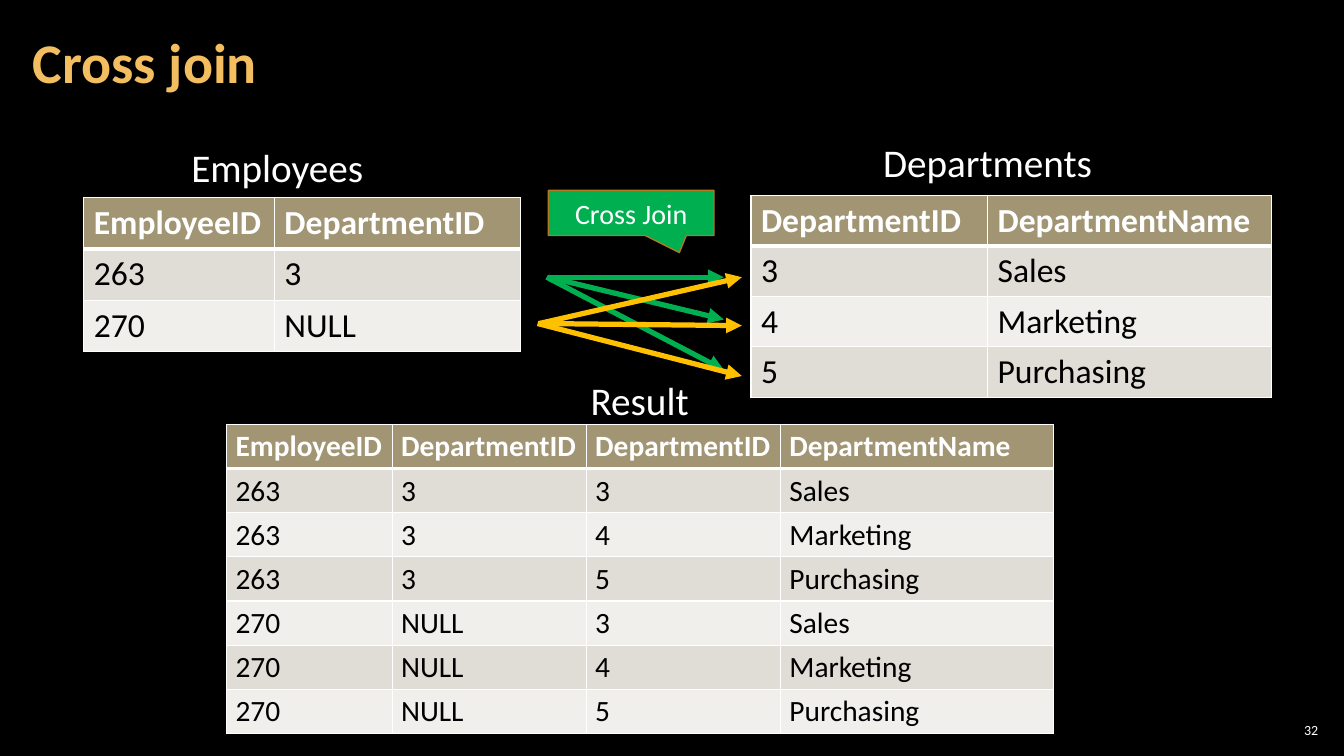
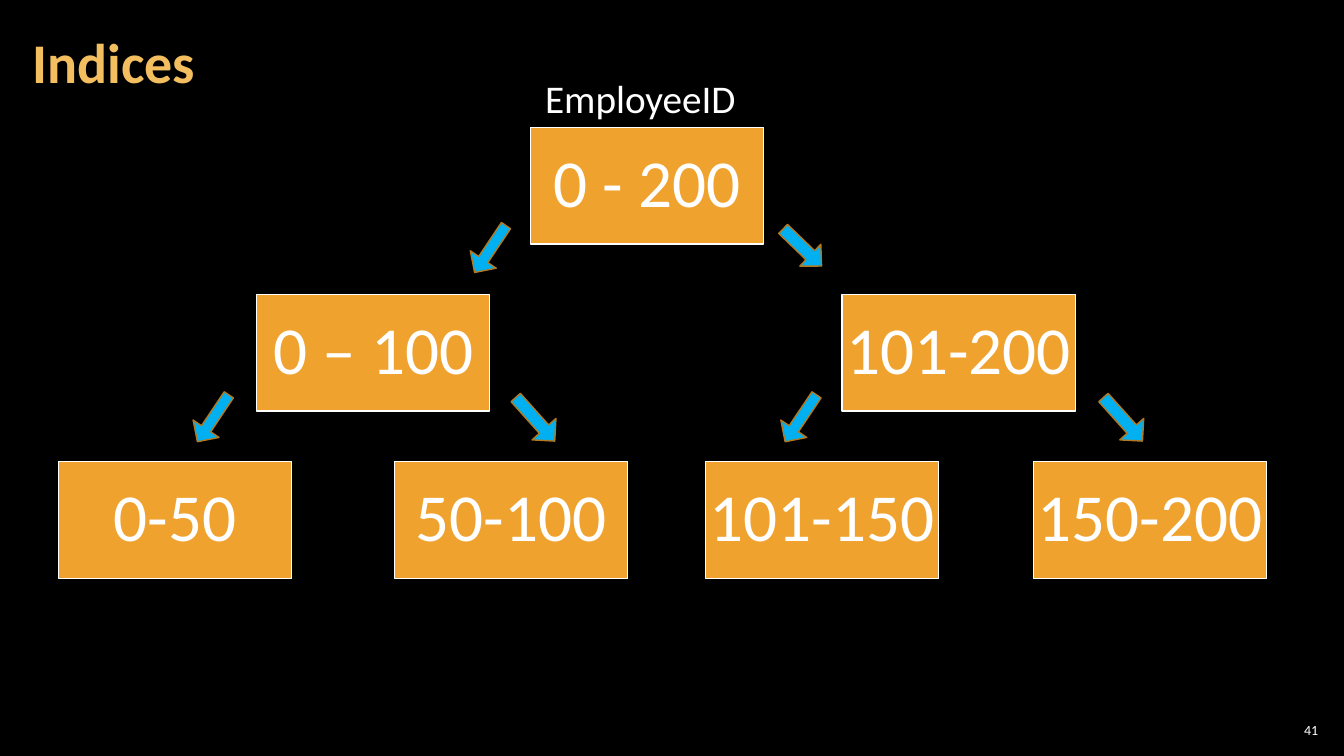
from typing import NamedTuple

from lxml.etree import SubElement
from pptx import Presentation
from pptx.dml.color import RGBColor
from pptx.enum.shapes import MSO_CONNECTOR, MSO_SHAPE
from pptx.enum.text import MSO_ANCHOR, MSO_AUTO_SIZE, PP_ALIGN
from pptx.oxml import parse_xml
from pptx.oxml.ns import nsdecls, qn
from pptx.util import Pt

FONT = "Calibri"
BLACK, WHITE = "000000", "FFFFFF"
GOLD, ORANGE, BROWN = "F3BE60", "F0A22E", "B27822"
GREEN, AMBER, BLUE = "00B050", "FFC000", "00B0F0"
HEAD, BANDS = "A19574", ("E0DDD6", "F0EFEB")
THIN, THICK = 1, 3


class Box(NamedTuple):
    x: float
    y: float
    w: float
    h: float


class Label(NamedTuple):
    text: str
    box: Box
    wrap: bool = False


class Grid(NamedTuple):
    x: float
    y: float
    cols: tuple
    row: float
    size: float
    pad: tuple
    data: list


class Ray(NamedTuple):
    start: tuple
    end: tuple
    tint: str


class Node(NamedTuple):
    text: str
    x: float
    level: int


class Style(NamedTuple):
    w: float
    h: float
    turn: float
    adjust: tuple


class Arrow(NamedTuple):
    x: float
    y: float
    style: Style


EMPLOYEES = [("263", "3"), ("270", "NULL")]
UNITS = [("3", "Sales"), ("4", "Marketing"), ("5", "Purchasing")]
LEFT_HEAD = ("EmployeeID", "DepartmentID")
RIGHT_HEAD = ("DepartmentID", "DepartmentName")
CROSS = [left + right for left in EMPLOYEES for right in UNITS]

GRIDS = [
    Grid(59.8, 141.2, (136.2, 175.8), 36.6, 24, (7.2, 3.6),
         [LEFT_HEAD, *EMPLOYEES]),
    Grid(536.4, 139.6, (169, 203), 36, 24, (7.2, 3.6),
         [RIGHT_HEAD, *UNITS]),
    Grid(162, 303.2, (118.2, 138.7, 138.7, 195), 31.35, 21, (6.3, 3.15),
         [LEFT_HEAD + RIGHT_HEAD, *CROSS]),
]
LABELS = [
    Label("Employees", Box(129.6, 98.8, 138, 41)),
    Label("Departments", Box(623.7, 95, 165.6, 41)),
    Label("Result", Box(414.8, 265.2, 85.7, 41)),
]
RAYS = [
    Ray((391.7, 198), (517, 198), GREEN),
    Ray((391.7, 198), (517, 228.2), GREEN),
    Ray((390.5, 198), (517, 264.2), GREEN),
    Ray((385.2, 231.1), (529.9, 198), AMBER),
    Ray((385.2, 231.1), (529.9, 232.6), AMBER),
    Ray((384, 231.1), (529.9, 268.6), AMBER),
]

NODE_W, NODE_H, NODE_TOP, NODE_STEP = 166.6, 83.3, 91, 119.4
NODES = [
    Node("0 - 200", 379, 0),
    Node("0 – 100", 183.3, 1),
    Node("101-200", 601.5, 1),
    Node("0-50", 41.7, 2),
    Node("50-100", 281.8, 2),
    Node("101-150", 503.8, 2),
    Node("150-200", 738.1, 2),
]
DOWN_LEFT = Style(22.3, 40.3, 213.8, (0.354, 0.5))
DOWN_RIGHT = Style(23, 41.8, 138.1, (0.39, 0.5))
TOP_RIGHT = Style(21.6, 38.2, 133.9, (0.417, 0.519))
ARROWS = [
    Arrow(339.1, 157.7, DOWN_LEFT),
    Arrow(562.3, 157.7, TOP_RIGHT),
    Arrow(141.1, 278.6, DOWN_LEFT),
    Arrow(370.8, 278.6, DOWN_RIGHT),
    Arrow(560.9, 278.6, DOWN_LEFT),
    Arrow(790.6, 278.6, DOWN_RIGHT),
]


def hue(code: str) -> RGBColor:
    return RGBColor.from_string(code)


def paint(item, code: str) -> None:
    """Give a shape, cell or background a solid fill."""
    item.fill.solid()
    item.fill.fore_color.rgb = hue(code)


def write(frame, text: str, *, size: float, tint: str = WHITE,
          bold: bool = False, align=PP_ALIGN.LEFT, lead=None) -> None:
    para = frame.paragraphs[0]
    para.alignment = align
    if lead:
        para.line_spacing = lead
    run = para.add_run()
    run.text = text
    font = run.font
    font.name, font.size, font.bold = FONT, Pt(size), bold
    font.color.rgb = hue(tint)


def inset(frame, side: float, top: float) -> None:
    frame.margin_left = frame.margin_right = Pt(side)
    frame.margin_top = frame.margin_bottom = Pt(top)


def add_text(slide, box: Box, text: str, *, pad=(7.2, 3.6), wrap=True,
             anchor=MSO_ANCHOR.MIDDLE, **look):
    frame = slide.shapes.add_textbox(*map(Pt, box)).text_frame
    frame.word_wrap = wrap
    frame.vertical_anchor = anchor
    inset(frame, *pad)
    write(frame, text, **look)
    return frame


def add_label(slide, label: Label) -> None:
    frame = add_text(slide, label.box, label.text, wrap=label.wrap,
                     anchor=MSO_ANCHOR.TOP, size=28)
    frame.auto_size = MSO_AUTO_SIZE.SHAPE_TO_FIT_TEXT


def add_form(slide, kind, box: Box, fill: str, line: str, adjust=()):
    """Add a preset shape with a thin outline and no shadow."""
    form = slide.shapes.add_shape(kind, *map(Pt, box))
    form.shadow.inherit = False
    paint(form, fill)
    form.line.color.rgb = hue(line)
    form.line.width = Pt(THIN)
    for index, value in enumerate(adjust):
        form.adjustments[index] = value
    return form


def edge(cell, sides: dict) -> None:
    """Draw white cell borders; sides maps L, R, T and B to widths."""
    props = cell._tc.get_or_add_tcPr()
    for index, (side, width) in enumerate(sides.items()):
        props.insert(index, parse_xml(
            f'<a:ln{side} {nsdecls("a")} w="{Pt(width)}"><a:solidFill>'
            f'<a:srgbClr val="{WHITE}"/></a:solidFill></a:ln{side}>'))


def add_grid(slide, grid: Grid) -> None:
    count = len(grid.data)
    box = Box(grid.x, grid.y, sum(grid.cols), grid.row * count)
    table = slide.shapes.add_table(
        count, len(grid.cols), *map(Pt, box)).table
    table.horz_banding = False
    for col, width in zip(table.columns, grid.cols):
        col.width = Pt(width)
    for r, words in enumerate(grid.data):
        table.rows[r].height = Pt(grid.row)
        top = r == 0
        for c, word in enumerate(words):
            cell = table.cell(r, c)
            inset(cell, *grid.pad)
            paint(cell, HEAD if top else BANDS[(r - 1) % 2])
            edge(cell, {"L": THIN, "R": THIN,
                        "T": THICK if r == 1 else THIN,
                        "B": THICK if top else THIN})
            write(cell.text_frame, word, size=grid.size, bold=top,
                  tint=WHITE if top else BLACK)


def add_ray(slide, ray: Ray) -> None:
    line = slide.shapes.add_connector(
        MSO_CONNECTOR.STRAIGHT, *map(Pt, ray.start + ray.end))
    line.line.color.rgb = hue(ray.tint)
    line.line.width = Pt(3.75)
    SubElement(line.line._get_or_add_ln(), qn("a:tailEnd"), type="triangle")
    SubElement(line._element.spPr, qn("a:effectLst"))


def add_node(slide, node: Node) -> None:
    box = Box(node.x, NODE_TOP + node.level * NODE_STEP, NODE_W, NODE_H)
    frame = add_form(slide, MSO_SHAPE.RECTANGLE, box, ORANGE,
                     WHITE).text_frame
    frame.word_wrap = True
    frame.vertical_anchor = MSO_ANCHOR.MIDDLE
    inset(frame, 2.4, 2.4)
    write(frame, node.text, size=48, align=PP_ALIGN.CENTER, lead=0.9)


def add_arrow(slide, arrow: Arrow) -> None:
    style = arrow.style
    box = Box(arrow.x, arrow.y, style.w, style.h)
    form = add_form(slide, MSO_SHAPE.UP_ARROW, box, BLUE, BROWN,
                    style.adjust)
    form.rotation = style.turn


def start(deck, title: str, number: int):
    """Add a blank slide with its title and page number."""
    slide = deck.slides.add_slide(deck.slide_layouts[6])
    add_text(slide, Box(910.8, 514, 33.8, 15.1), str(number),
             pad=(3, 3), size=10, align=PP_ALIGN.RIGHT)
    add_text(slide, Box(15, 3, 754, 87), title, pad=(8.4, 3),
             size=40, tint=GOLD, bold=True, lead=0.9)
    return slide


def join_slide(deck) -> None:
    slide = start(deck, "Cross join", 32)
    for grid in GRIDS:
        add_grid(slide, grid)
    for label in LABELS:
        add_label(slide, label)
    frame = add_form(slide, MSO_SHAPE.RECTANGULAR_CALLOUT,
                     Box(391.7, 136, 118.3, 32.2), GREEN, BROWN,
                     (0.291, 0.881)).text_frame
    frame.vertical_anchor = MSO_ANCHOR.MIDDLE
    write(frame, "Cross Join", size=20, align=PP_ALIGN.CENTER)
    for ray in RAYS:
        add_ray(slide, ray)


def index_slide(deck) -> None:
    slide = start(deck, "Indices", 41)
    for node in NODES:
        add_node(slide, node)
    add_label(slide, Label("EmployeeID", Box(382.3, 49.7, 164.2, 41), True))
    for arrow in ARROWS:
        add_arrow(slide, arrow)


def main() -> None:
    deck = Presentation()
    deck.slide_width, deck.slide_height = Pt(960), Pt(540)
    paint(deck.slide_master.background, BLACK)
    join_slide(deck)
    index_slide(deck)
    deck.save("out.pptx")


if __name__ == "__main__":
    main()
